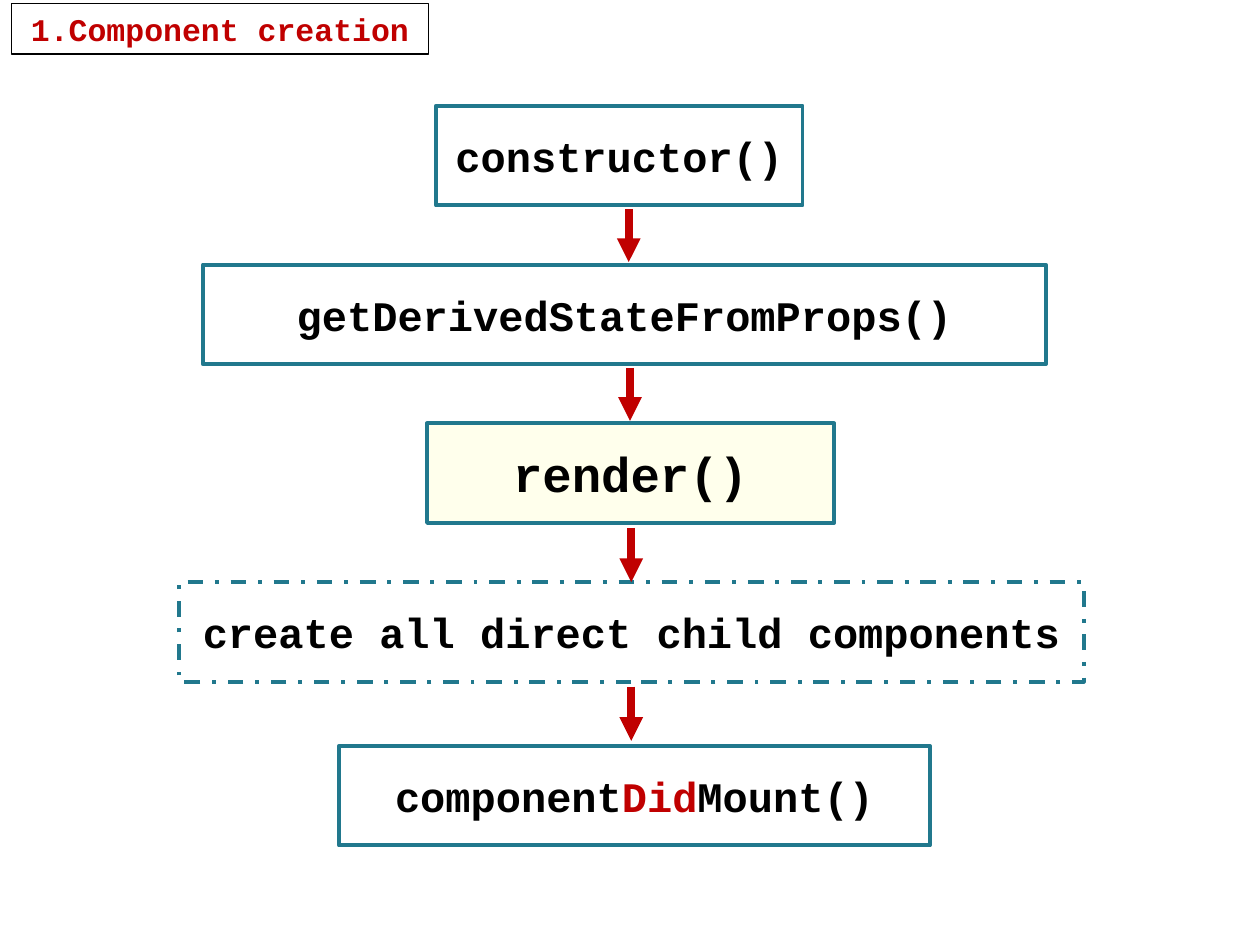
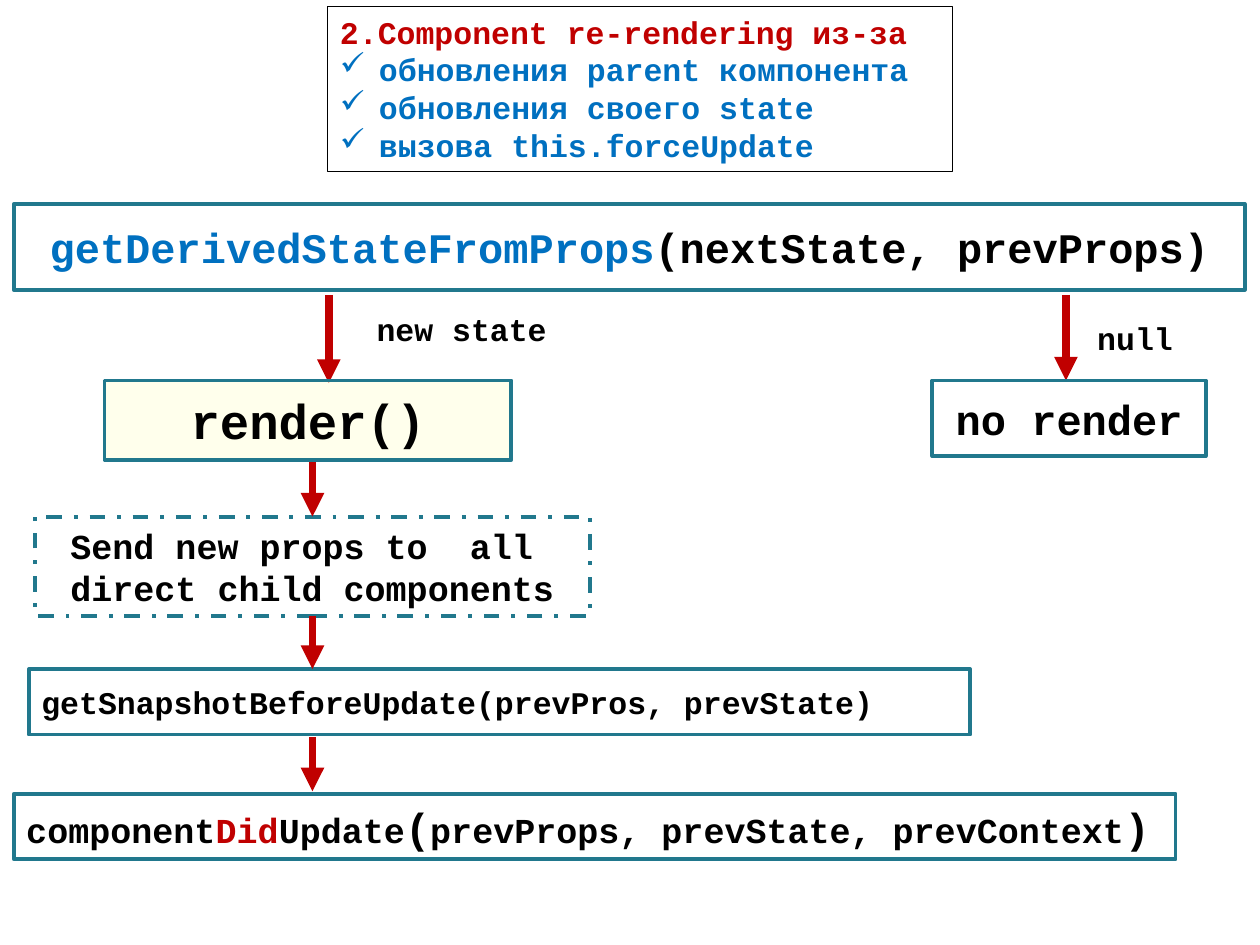
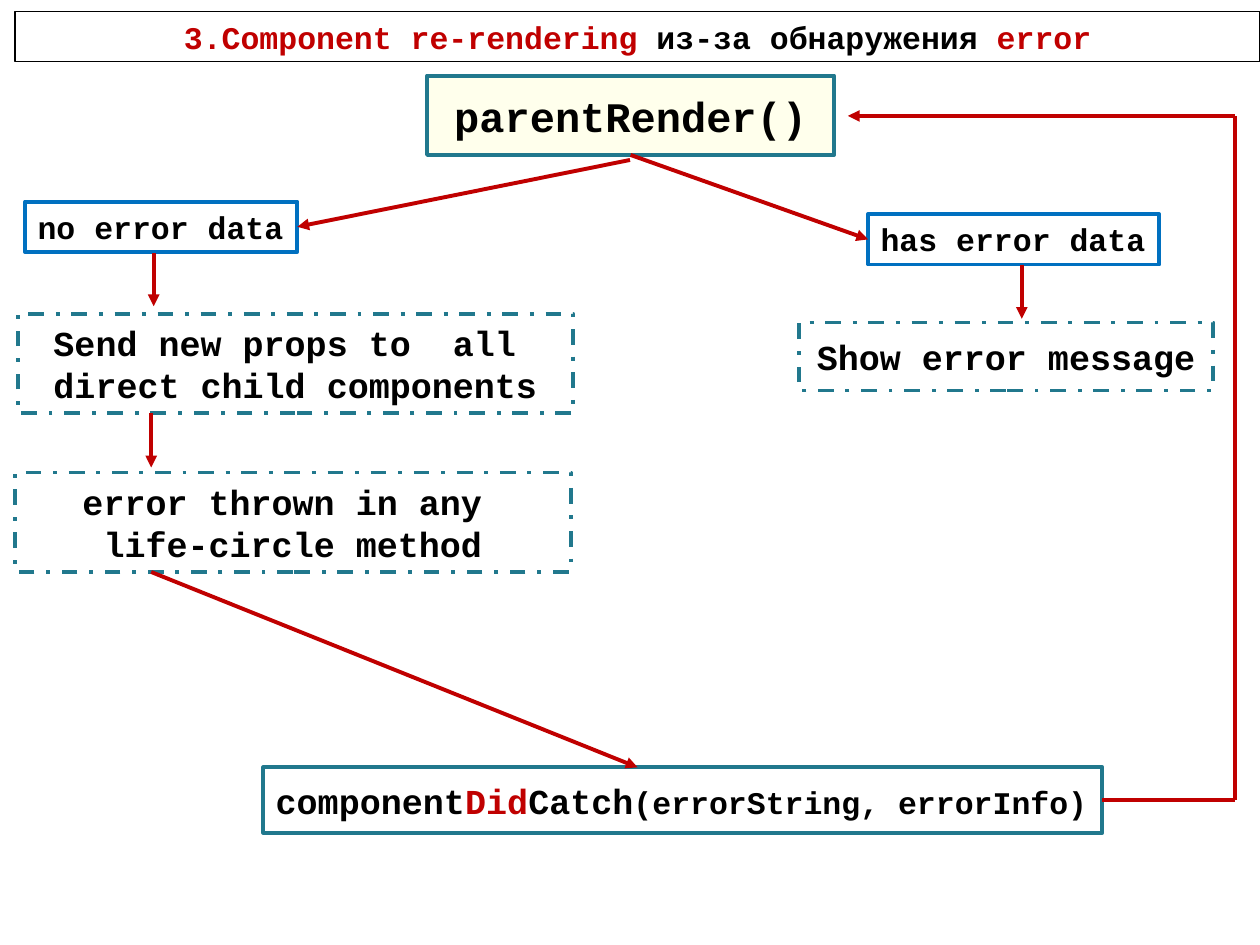
import pptx
import pptx.dml.color
import pptx.enum.dml
import pptx.enum.shapes
import pptx.enum.text
import pptx.oxml
import pptx.oxml.ns
import pptx.util
from pptx.util import Inches

FONT = "Courier New"
BLACK, WHITE, RED, BLUE, TEAL, CREAM = "000000", "FFFFFF", "C00000", "0070C0", "21788D", "FFFFCC"
CREAM_OPACITY = 37
TOP, LEFT, BOTTOM, RIGHT = 0, 1, 2, 3
ALIGN = pptx.enum.text.PP_ALIGN
ANCHOR = pptx.enum.text.MSO_ANCHOR


def color(hex_string):
    return pptx.dml.color.RGBColor.from_string(hex_string)


def set_values(target, values):
    for name, value in values.items():
        setattr(target, name, value)


def add_xml(parent, tag, **attributes):
    element = pptx.oxml.parse_xml(f"<a:{tag} {pptx.oxml.ns.nsdecls('a')}/>")
    for name, value in attributes.items():
        element.set(name, str(value))
    parent.append(element)


class Diagram:
    """Holds the shared style and the slide being drawn."""

    def __init__(self):
        self.deck = pptx.Presentation()
        set_values(self.deck, {"slide_width": Inches(10), "slide_height": Inches(7.5)})

    def new_slide(self):
        self.shapes = self.deck.slides.add_slide(self.deck.slide_layouts[6]).shapes

    def put_text(self, shape, paragraphs, size, align, ticked=False):
        """Each paragraph is a string or a list of (text, color[, size]) spans."""
        frame = shape.text_frame
        for index, spans in enumerate(paragraphs):
            para = frame.add_paragraph() if index else frame.paragraphs[0]
            para.alignment = align
            if ticked and index:
                properties = para._p.get_or_add_pPr()
                properties.set("marL", str(Inches(0.31)))
                properties.set("indent", str(Inches(-0.31)))
                add_xml(properties, "buChar", char="✓")
            for text, ink, *own_size in [(spans, BLACK)] if isinstance(spans, str) else spans:
                span = para.add_run()
                span.text = text
                points = own_size[0] if own_size else size
                set_values(span.font, {"name": FONT, "bold": True, "size": pptx.util.Pt(points)})
                span.font.color.rgb = color(ink)

    def box(self, place, paragraphs, size=24, align=ALIGN.CENTER, anchor=ANCHOR.MIDDLE,
            fill=None, line=TEAL, width=2.25, dashed=False, wrap=True, ticked=False):
        box = self.shapes.add_shape(pptx.enum.shapes.MSO_SHAPE.RECTANGLE, *map(Inches, place))
        box.shadow.inherit = False
        if fill:
            box.fill.solid()
            box.fill.fore_color.rgb = color(fill)
        else:
            box.fill.background()
        box.line.color.rgb = color(line)
        box.line.width = pptx.util.Pt(width)
        if dashed:
            box.line.dash_style = pptx.enum.dml.MSO_LINE.DASH_DOT
        set_values(box.text_frame, {"word_wrap": wrap, "vertical_anchor": anchor})
        self.put_text(box, paragraphs, size, align, ticked)
        return box

    def title(self, place, paragraphs, **options):
        return self.box(place, paragraphs, 18, anchor=ANCHOR.TOP, fill=WHITE, line=BLACK,
                        width=0.75, **options)

    def render_box(self, place, text, size=28):
        box = self.box(place, [text], size, fill=CREAM)
        tint = box.fill._xPr.find(".//" + pptx.oxml.ns.qn("a:srgbClr"))
        add_xml(tint, "alpha", val=CREAM_OPACITY * 1000)
        return box

    def step(self, place, paragraphs, size=20):
        return self.box(place, paragraphs, size, dashed=True)

    def condition(self, place, text):
        return self.box(place, [text], 18, ALIGN.LEFT, ANCHOR.TOP, line=BLUE, wrap=False)

    def label(self, place, text):
        label = self.shapes.add_textbox(*map(Inches, place))
        label.text_frame.word_wrap = False
        self.put_text(label, [text], 18, ALIGN.LEFT)

    def arrow(self, start, end, width=2.25, begin=None, finish=None, head=True):
        """begin and finish are (box, side) pairs to which the ends are joined."""
        arrow = self.shapes.add_connector(
            pptx.enum.shapes.MSO_CONNECTOR.STRAIGHT, *map(Inches, start + end))
        if begin:
            arrow.begin_connect(*begin)
        if finish:
            arrow.end_connect(*finish)
        arrow.line.color.rgb = color(RED)
        arrow.line.width = pptx.util.Pt(width)
        if head:
            add_xml(arrow.line._get_or_add_ln(), "tailEnd", type="triangle")
        add_xml(arrow._element.spPr, "effectLst")

    def down(self, x, top, bottom, width=4.5, **joints):
        self.arrow((x, top), (x, bottom), width, **joints)


def creation(diagram):
    diagram.new_slide()
    diagram.title((0.09, 0.03, 3.31, 0.4), [[("1.Component creation", RED)]])
    # Life cycle, top to bottom
    diagram.box((3.46, 0.84, 2.91, 0.79), ["constructor()"])
    diagram.box((1.61, 2.1, 6.69, 0.79), ["getDerivedStateFromProps()"])
    diagram.render_box((3.39, 3.36, 3.23, 0.79), "render()")
    children = diagram.step((1.42, 4.62, 7.18, 0.79), ["create all direct child components"], 24)
    diagram.box((2.69, 5.92, 4.69, 0.79),
                [[("component", BLACK), ("Did", RED), ("Mount()", BLACK)]])
    # Arrows between the stages
    diagram.down(4.99, 1.66, 2.08)
    diagram.down(5, 2.92, 3.34)
    diagram.down(5.01, 4.19, 4.62, finish=(children, TOP))
    diagram.down(5.01, 5.45, 5.88)


SEND_PROPS = ["Send new props to  all ", "direct child components"]


def update(diagram):
    diagram.new_slide()
    diagram.title((2.6, 0.05, 4.96, 1.31), [
        [("2.Component re-rendering из-за", RED)],
        [("обновления parent компонента", BLUE)],
        [("обновления своего state", BLUE)],
        [("вызова this.forceUpdate", BLUE)],
    ], align=ALIGN.LEFT, ticked=True)
    # Decision and its two outcomes
    diagram.box((0.11, 1.62, 9.77, 0.68),
                [[("getDerivedStateFromProps", BLUE), ("(nextState, prevProps)", BLACK)]])
    diagram.down(2.61, 2.34, 3.04)
    diagram.down(8.46, 2.34, 3.02)
    diagram.label((2.89, 2.41, 1.56, 0.4), "new state")
    diagram.label((8.61, 2.48, 0.81, 0.4), "null")
    diagram.box((7.4, 3.02, 2.17, 0.6), ["no render"])
    # Render branch
    diagram.render_box((0.83, 3.02, 3.23, 0.63), "render()")
    send = diagram.step((0.28, 4.1, 4.4, 0.79), SEND_PROPS)
    diagram.box((0.23, 5.31, 7.47, 0.52), ["getSnapshotBeforeUpdate(prevPros, prevState)"],
                18, ALIGN.LEFT)
    diagram.box((0.11, 6.3, 9.22, 0.52), [[
        ("component", BLACK), ("Did", RED), ("Update", BLACK), ("(", BLACK, 24),
        ("prevProps, prevState, prevContext", BLACK), (")", BLACK, 24),
    ]], 20, ALIGN.LEFT)
    diagram.down(2.48, 3.67, 4.1, finish=(send, TOP))
    diagram.down(2.48, 4.89, 5.31, begin=(send, BOTTOM))
    diagram.down(2.48, 5.85, 6.28)


def error_handling(diagram):
    diagram.new_slide()
    diagram.title((0.12, 0.09, 9.88, 0.4), [[
        ("3.Component re-rendering ", RED), ("из-за обнаружения ", BLACK), ("error", RED)]])
    # Stages
    catch = diagram.box((2.09, 6.09, 6.66, 0.52), [[
        ("component", BLACK), ("Did", RED), ("Catch", BLACK),
        ("(errorString, errorInfo)", BLACK, 18),
    ]], 20, ALIGN.LEFT)
    parent = diagram.render_box((3.39, 0.6, 3.23, 0.63), "parentRender()", 24)
    no_error = diagram.condition((0.2, 1.6, 2.16, 0.4), "no error data")
    has_error = diagram.condition((6.89, 1.7, 2.31, 0.4), "has error data")
    diagram.step((6.34, 2.56, 3.29, 0.54), ["Show error message"])
    diagram.step((0.14, 2.49, 4.41, 0.79), SEND_PROPS)
    diagram.step((0.12, 3.75, 4.41, 0.79), ["error thrown in any ", "life-circle method"])
    # Branches
    diagram.arrow((5, 1.27), (2.36, 1.8), finish=(no_error, RIGHT))
    diagram.arrow((5, 1.23), (6.89, 1.9), begin=(parent, BOTTOM), finish=(has_error, LEFT))
    diagram.down(1.22, 2.01, 2.43, 2.25)
    diagram.down(1.2, 3.28, 3.71, 2.25)
    diagram.down(8.11, 2.1, 2.53, 2.25)
    diagram.arrow((1.2, 4.54), (5.06, 6.09))
    # Way back to the parent
    diagram.arrow((8.75, 6.35), (9.8, 6.35), begin=(catch, RIGHT), head=False)
    diagram.arrow((9.8, 0.92), (9.8, 6.35), head=False)
    diagram.arrow((9.8, 0.92), (6.73, 0.92))


def main():
    diagram = Diagram()
    creation(diagram)
    update(diagram)
    error_handling(diagram)
    diagram.deck.save("out.pptx")


if __name__ == "__main__":
    main()
